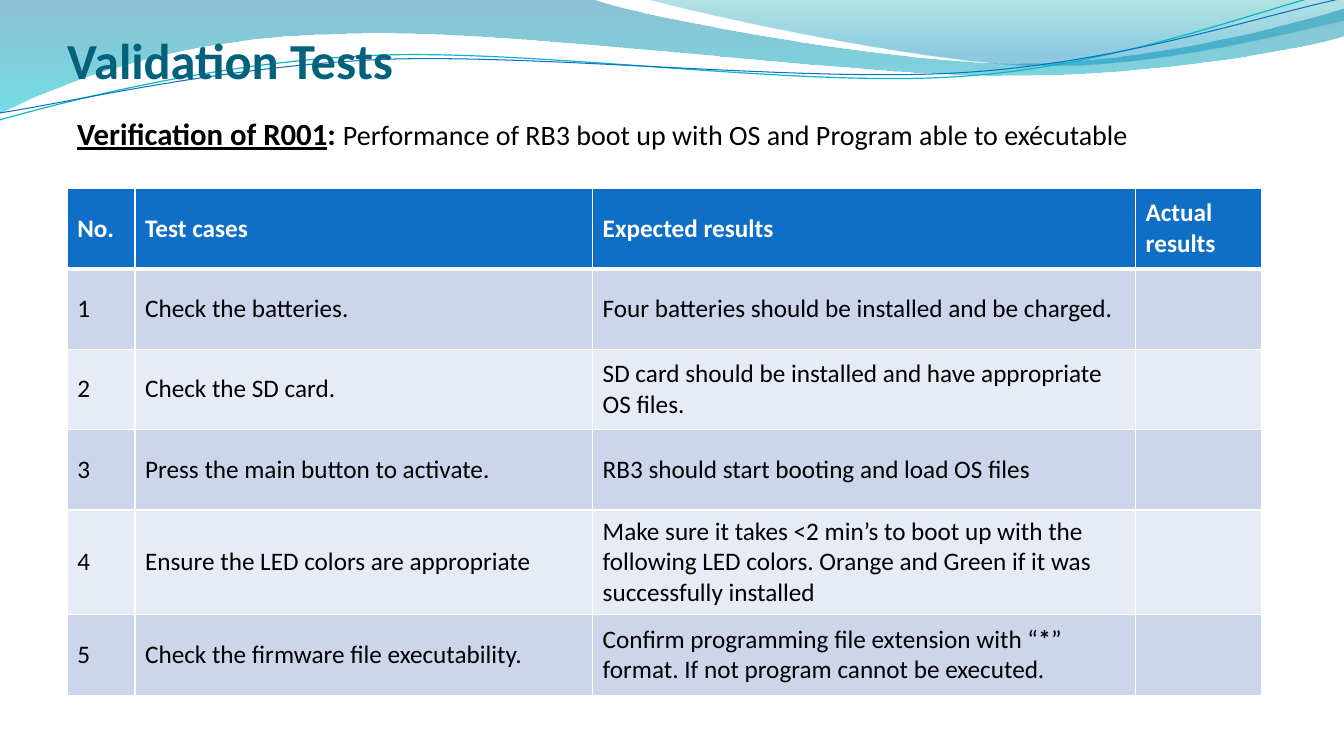
import pptx
import pptx.dml.color
import pptx.enum.text
import pptx.oxml.ns
import pptx.util
from lxml import etree

RGB = pptx.dml.color.RGBColor
qn = pptx.oxml.ns.qn
WHITE = RGB(0xFF, 0xFF, 0xFF)
BLACK = RGB(0x00, 0x00, 0x00)
TITLE_TEAL = RGB(0x04, 0x61, 0x7B)
HEADER_BLUE = RGB(0x0F, 0x6F, 0xC6)
LINE_TEAL = RGB(0x0A, 0xB8, 0xBF)
BAND_DARK = RGB(0xCC, 0xD5, 0xEA)
BAND_LIGHT = RGB(0xE7, 0xEB, 0xF5)
DEEP_BLUE = RGB(0x00, 0x74, 0xA1)
CYAN = RGB(0x00, 0xC6, 0xCF)
GREEN_TEAL = RGB(0x00, 0xA1, 0xA9)
SKY_BLUE = RGB(0x00, 0x8B, 0xBF)

# Outlines in grid units: one point is a straight step, three are a Bezier step.
BROAD_WAVE = [
    [(0, 0)], [(8.8, -0.1)],
    [(9.51, 1.7), (13.28, 6.3), (15.17, 6.3)],
    [(17.07, 6.3), (19.17, 2.6), (20, 0.9)],
    [(20.03, 3.6)],
    [(19.67, 4.4), (17.4, 7.6), (14.91, 7.5)],
    [(12.44, 7.5), (7.64, 2.8), (5.15, 3.4)],
    [(2.58, 3.6), (0.92, 8.3), (-0.02, 11.3)],
    [(0, 0)],
]
RIGHT_WAVE = [
    [(9.59, -0.1)],
    [(10.19, 1.1), (13.64, 6.2), (15.38, 6.5)],
    [(17.12, 6.9), (19.23, 3.2), (20, 2.1)],
    [(20, 0)], [(9.59, -0.1)],
]
TEAL_STRAND = [
    [(-0.04, 8.76)],
    [(0.95, 7.26), (3.17, 4.06), (5.54, 4.11)],
    [(7.92, 4.15), (11.82, 9.29), (14.24, 8.94)],
    [(16.64, 8.7), (18.81, 3.57), (20, 2.15)],
]
BLUE_STRAND = [
    [(-0.03, 8.05)],
    [(0.92, 7.45), (3.27, 4.49), (5.67, 4.54)],
    [(8.06, 4.69), (11.92, 8.81), (14.31, 8.56)],
    [(16.72, 8.31), (18.85, 4.18), (20.04, 2.95)],
]
STRAND_TILT = -2.7

TEST_CASES = [
    ("No.", "Test cases", "Expected results", "Actual results"),
    ("1", "Check the batteries.", "Four batteries should be installed and be charged.", ""),
    ("2", "Check the SD card.",
     "SD card should be installed and have appropriate OS files.", ""),
    ("3", "Press the main button to activate.",
     "RB3 should start booting and load OS files", ""),
    ("4", "Ensure the LED colors are appropriate",
     "Make sure it takes <2 min’s to boot up with the following LED colors. "
     "Orange and Green if it was successfully installed", ""),
    ("5", "Check the firmware file executability.",
     "Confirm programming file extension with “*” format. "
     "If not program cannot be executed.", ""),
]
COLUMN_WIDTHS = [1.01, 6.81, 8.08, 1.87]
ROW_HEIGHTS = [7.98, 7.98, 7.98, 7.98, 10.4, 7.98]


class GridSlide:
    """A title-only slide on a grid of 20 columns by 75 rows."""
    FONT = "Calibri"

    def __init__(self):
        self.deck = pptx.Presentation()
        self.deck.slide_width = pptx.util.Inches(13.333)
        self.deck.slide_height = pptx.util.Inches(7.5)
        self.slide = self.deck.slides.add_slide(self.deck.slide_layouts[5])
        self.shapes = self.slide.shapes

    def x(self, columns):
        return round(self.deck.slide_width * columns / 20)

    def y(self, rows):
        return round(self.deck.slide_height * rows / 75)

    def box(self, left, top, width, height):
        return self.x(left), self.y(top), self.x(width), self.y(height)

    def style(self, font, size, color, bold=False):
        font.name, font.size, font.bold = self.FONT, pptx.util.Pt(size), bold
        font.color.rgb = color

    def outline(self, steps, close):
        """Build a freeform through all points, then join each three into a Bezier."""
        start, *rest = [(self.x(c), self.y(r)) for step in steps for c, r in step]
        builder = self.shapes.build_freeform(*start)
        builder.add_line_segments(rest, close=close)
        curve = builder.convert_to_shape()
        curve.shadow.inherit = False
        segments = iter(curve.element.findall(".//" + qn("a:lnTo")))
        for step in steps[1:]:
            first, *others = [next(segments) for _ in step]
            if others:
                first.tag = qn("a:cubicBezTo")
            for segment in others:
                first.append(segment[0])
                segment.getparent().remove(segment)
        return curve

    def wave(self, steps, *stops):
        """Fill an outline downwards; each stop is position, colour, opacity in percent."""
        wave = self.outline(steps, close=True)
        wave.line.fill.background()
        wave.fill.gradient()
        wave.fill.gradient_angle = 270
        for stop, (position, color, _) in zip(wave.fill.gradient_stops, stops):
            stop.position = position
            stop.color.rgb = color
        tints = wave.element.spPr.findall(".//" + qn("a:srgbClr"))
        for tint, (_, _, opacity) in zip(tints, stops):
            etree.SubElement(tint, qn("a:alpha"), val=str(opacity * 1000))

    def strand(self, steps, color, width):
        strand = self.outline(steps, close=False)
        strand.rotation = STRAND_TILT
        strand.fill.background()
        strand.line.color.rgb = color
        strand.line.width = pptx.util.Pt(width)

    def title(self, text, *place):
        title = self.shapes.title
        title.left, title.top, title.width, title.height = self.box(*place)
        frame = title.text_frame
        frame.text = text
        frame.vertical_anchor = pptx.enum.text.MSO_ANCHOR.BOTTOM
        frame.margin_left = frame.margin_right = frame.margin_bottom = 0
        frame.paragraphs[0].alignment = pptx.enum.text.PP_ALIGN.LEFT
        self.style(frame.paragraphs[0].font, 36, TITLE_TEAL, bold=True)
        self.shapes.element.append(title.element)  # in front of the waves

    def requirement(self, label, description, *place):
        frame = self.shapes.add_textbox(*self.box(*place)).text_frame
        frame.word_wrap = True
        paragraph = frame.paragraphs[0]
        for text, size, bold in ((label, 22, True), (": ", 22, True),
                                 (description, 20, False)):
            run = paragraph.add_run()
            run.text = text
            self.style(run.font, size, BLACK, bold)
            run.font.underline = text == label

    def borders(self, cell, **widths):
        properties = cell._tc.get_or_add_tcPr()
        for side in "LRTB":
            line = etree.SubElement(properties, qn(f"a:ln{side}"),
                                    w=str(pptx.util.Pt(widths.get(side, 1))))
            solid = etree.SubElement(line, qn("a:solidFill"))
            etree.SubElement(solid, qn("a:srgbClr"), val=str(WHITE))

    def table(self, rows, widths, heights, left, top):
        place = self.box(left, top, sum(widths), sum(heights))
        table = self.shapes.add_table(len(rows), len(widths), *place).table
        table.first_row = table.horz_banding = False
        for column, width in zip(table.columns, widths):
            column.width = self.x(width)
        for r, (row, height) in enumerate(zip(rows, heights)):
            table.rows[r].height = self.y(height)
            for c, text in enumerate(row):
                self.cell(table.cell(r, c), r, text)

    def cell(self, cell, row, text):
        header = row == 0
        self.borders(cell, B=3 if header else 1, T=3 if row == 1 else 1)
        cell.fill.solid()
        cell.fill.fore_color.rgb = HEADER_BLUE if header else (BAND_LIGHT, BAND_DARK)[row % 2]
        cell.vertical_anchor = pptx.enum.text.MSO_ANCHOR.MIDDLE
        paragraph = cell.text_frame.paragraphs[0]
        self.style(paragraph.font, 18, WHITE if header else BLACK, header)
        for part in filter(None, text.partition("*")):
            run = paragraph.add_run()
            run.text = part
            if part == "*":
                run.font.bold = True


def main():
    page = GridSlide()
    page.wave(BROAD_WAVE, (0, DEEP_BLUE, 45), (1, CYAN, 55))
    page.wave(RIGHT_WAVE, (0, GREEN_TEAL, 30), (0.8, SKY_BLUE, 45))
    page.strand(TEAL_STRAND, LINE_TEAL, 0.85)
    page.strand(BLUE_STRAND, HEADER_BLUE, 0.75)
    page.title("Validation Tests", 1, 2.2, 18, 6.7)
    page.requirement("Verification of R001",
                     "Performance of RB3 boot up with OS and Program able to exécutable",
                     1, 10.9, 17.39, 4.7)
    page.table(TEST_CASES, COLUMN_WIDTHS, ROW_HEIGHTS, 1, 18.68)
    page.deck.save("out.pptx")


if __name__ == "__main__":
    main()
